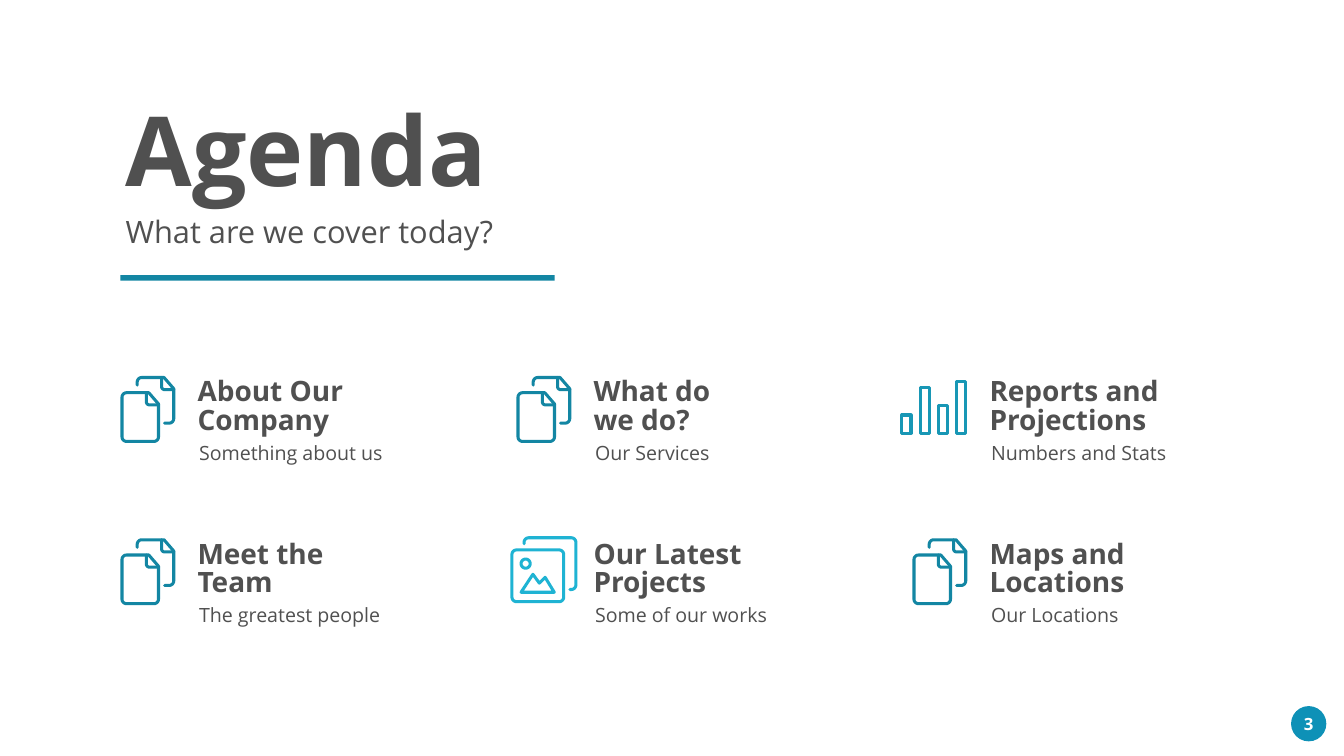
from dataclasses import dataclass

from lxml.etree import SubElement
from pptx import Presentation
from pptx.dml.color import RGBColor
from pptx.enum.shapes import MSO_SHAPE
from pptx.enum.text import MSO_ANCHOR, MSO_AUTO_SIZE, PP_ALIGN
from pptx.oxml.ns import qn
from pptx.util import Inches, Pt


@dataclass(frozen=True)
class Theme:
    font: str = "Open Sans"
    ink: str = "505050"
    teal: str = "1386A3"
    blue: str = "1897B5"
    cyan: str = "1FB3D3"
    badge: str = "0E91B7"
    white: str = "FFFFFF"
    title: int = 138
    subtitle: int = 44
    heading: int = 40
    heading_leading: float = 40.8
    detail: int = 28
    number: int = 24
    stroke: float = 4.35


theme = Theme()

LEFT, TOP = 2.39, 7.46          # first agenda cell, inches
COLUMN, ROW = 7.855, 3.22       # agenda grid pitch
ICON_UNIT = 0.0604              # one icon grid step, equal to the stroke width
FINE = 100                      # freeform points per icon grid step


def write(shape, lines, size, color=theme.ink, bold=False, leading=None,
          align=PP_ALIGN.LEFT, wrap=True):
    frame = shape.text_frame
    frame.auto_size = MSO_AUTO_SIZE.NONE
    frame.word_wrap = wrap
    frame.vertical_anchor = MSO_ANCHOR.MIDDLE
    for index, line in enumerate(lines):
        para = frame.add_paragraph() if index else frame.paragraphs[0]
        para.alignment = align
        para.space_before = Pt(0)
        para.line_spacing = Pt(leading) if leading else 1.0
        span = para.add_run()
        span.text = line
        span.font.name = theme.font
        span.font.size = Pt(size)
        span.font.bold = bold
        span.font.color.rgb = RGBColor.from_string(color)


def rounded(corners, closed):
    """Turn (x, y, radius) corners into points, with each corner curved."""
    points = []
    for index, (x, y, radius) in enumerate(corners):
        if not radius:
            points.append((x * FINE, y * FINE))
            continue
        ends = []
        for near_x, near_y, _ in (corners[index - 1], corners[(index + 1) % len(corners)]):
            share = radius / ((near_x - x) ** 2 + (near_y - y) ** 2) ** 0.5
            ends.append((x + (near_x - x) * share, y + (near_y - y) * share))
        (start_x, start_y), (end_x, end_y) = ends
        for step in range(7):
            t = step / 6
            a = (1 - t) ** 3 + 1.35 * (1 - t) ** 2 * t
            b = t ** 3 + 1.35 * t ** 2 * (1 - t)
            c = 1 - a - b
            points.append(((a * start_x + b * end_x + c * x) * FINE,
                           (a * start_y + b * end_y + c * y) * FINE))
    return points + points[:1] if closed else points


def rectangle(left, top, right, bottom, radius):
    return True, [(left, top, radius), (right, top, radius),
                  (right, bottom, radius), (left, bottom, radius)]


# Each icon: offset from its cell, colour, and strokes as (closed, corners).
pages_icon = (0, 0, theme.teal, [
    (True, [(0.5, 5.5, 1.5), (9.3, 5.5, 0), (12.5, 9.2, 0),
            (12.5, 21.5, 1.5), (0.5, 21.5, 1.5)]),
    (False, [(8.5, 5.5, 0), (8.5, 9.5, 1), (12.5, 9.5, 0)]),
    (False, [(5.5, 3, 0), (5.5, 0.5, 1.5), (14.3, 0.5, 0), (17.5, 4.2, 0),
             (17.5, 15.5, 1.5), (14.5, 15.5, 0)]),
    (False, [(13.5, 0.5, 0), (13.5, 4.5, 1), (17.5, 4.5, 0)]),
])
gallery_icon = (-0.12, -0.04, theme.cyan, [
    (False, [(4.5, 2.5, 0), (4.5, 0.5, 1.5), (21.5, 0.5, 1.5),
             (21.5, 17.5, 1.5), (19.5, 17.5, 0)]),
    rectangle(0.5, 4.5, 17.5, 21.5, 1.5),
    rectangle(3.5, 7.5, 6.5, 10.5, 1.5),
    (True, [(3.5, 18.4, 0), (7.4, 12.5, 0), (9.5, 15.4, 0),
            (11.4, 13.5, 0), (14.4, 18.4, 0)]),
])
bars_icon = (-0.24, 0.08, theme.blue, [
    rectangle(6 * bar + 0.5, top, 6 * bar + 3.5, 17.5, 0)
    for bar, top in enumerate((11.5, 2.5, 8.5, 0.5))
])

agenda = [
    [(pages_icon, ["About Our Company"], "Something about us"),
     (pages_icon, ["What do", "we do?"], "Our Services"),
     (bars_icon, ["Reports and Projections"], "Numbers and Stats")],
    [(pages_icon, ["Meet the Team"], "The greatest people"),
     (gallery_icon, ["Our Latest Projects"], "Some of our works"),
     (pages_icon, ["Maps and Locations"], "Our Locations")],
]

deck = Presentation()
deck.slide_width, deck.slide_height = Inches(26.66), Inches(15)
page = deck.slides.add_slide(deck.slide_layouts[0])

# Title block
title, subtitle = page.shapes.title, page.placeholders[1]
title.left, title.top = Inches(LEFT), Inches(1.72)
title.width, title.height = Inches(7.44), Inches(2.42)
write(title, ["Agenda"], theme.title, bold=True, wrap=False)
subtitle.left, subtitle.top = Inches(LEFT), Inches(4.16)
subtitle.width, subtitle.height = Inches(7.57), Inches(0.84)
write(subtitle, ["What are we cover today?"], theme.subtitle, wrap=False)

# Rule under the title and page number badge
for kind, left, top, width, height, color, label in (
        (MSO_SHAPE.RECTANGLE, LEFT, 5.46, 8.61, 0.11, theme.teal, None),
        (MSO_SHAPE.OVAL, 25.61, 14.01, 0.7, 0.7, theme.badge, "3")):
    shape = page.shapes.add_shape(kind, Inches(left), Inches(top), Inches(width), Inches(height))
    shape.shadow.inherit = False
    shape.fill.solid()
    shape.fill.fore_color.rgb = RGBColor.from_string(color)
    shape.line.fill.background()
    if label:
        write(shape, [label], theme.number, theme.white, bold=True,
              align=PP_ALIGN.CENTER, wrap=False)

# Agenda grid
for row, cells in enumerate(agenda):
    for column, (icon, heading, detail) in enumerate(cells):
        left, top = LEFT + column * COLUMN, TOP + row * ROW
        shift_x, shift_y, color, strokes = icon

        builder = None
        for closed, corners in strokes:
            first, *rest = rounded(corners, closed)
            if builder is None:
                builder = page.shapes.build_freeform(*first, scale=Inches(ICON_UNIT) / FINE)
            else:
                builder.move_to(*first)
            builder.add_line_segments(rest, close=closed)
        drawing = builder.convert_to_shape(Inches(left + shift_x), Inches(top + shift_y))
        drawing.shadow.inherit = False
        drawing.fill.background()
        drawing.line.color.rgb = RGBColor.from_string(color)
        drawing.line.width = Pt(theme.stroke)
        outline = drawing.element.spPr.find(qn("a:ln"))
        outline.set("cap", "rnd")
        SubElement(outline, qn("a:round"))

        box = page.shapes.add_textbox(Inches(left + 1.43), Inches(top), Inches(4.23), Inches(1.25))
        write(box, heading, theme.heading, bold=True, leading=theme.heading_leading)
        box = page.shapes.add_textbox(Inches(left + 1.46), Inches(top + 1.23),
                                      Inches(4.23), Inches(0.57))
        write(box, [detail], theme.detail)

deck.save("out.pptx")
